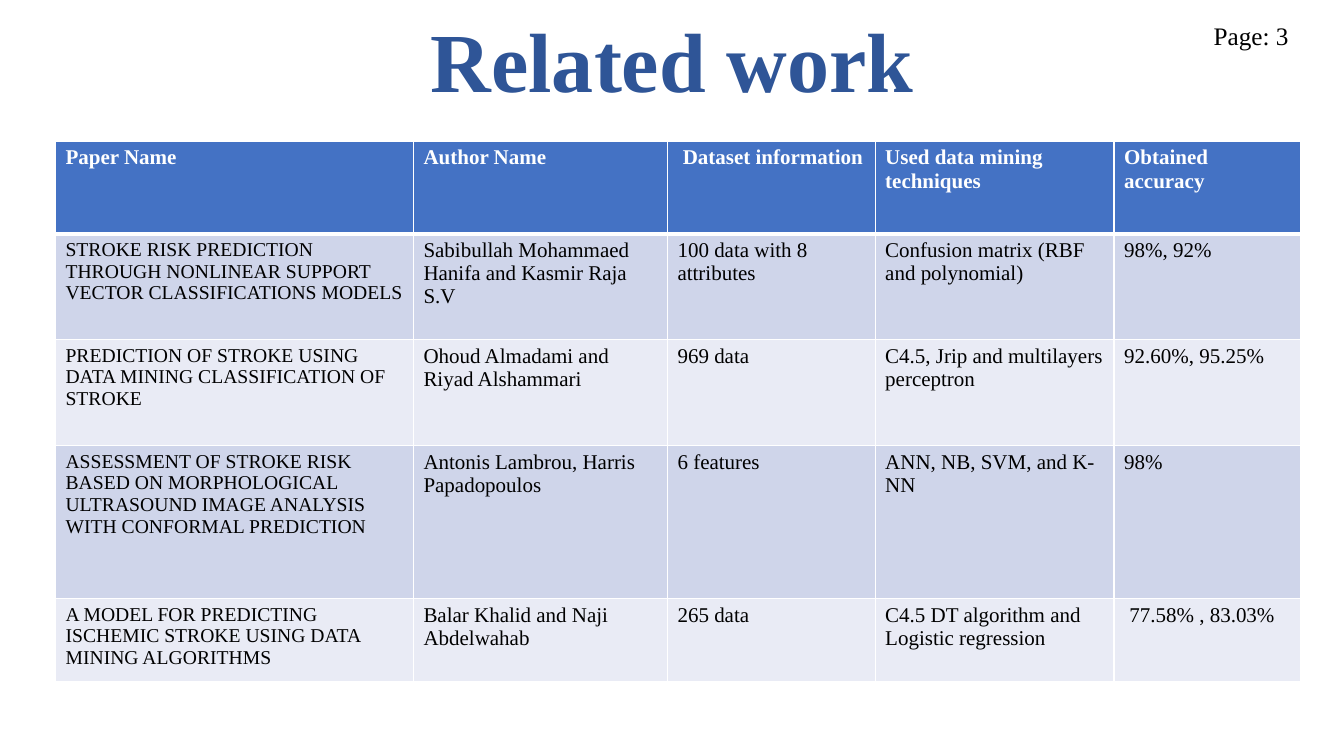
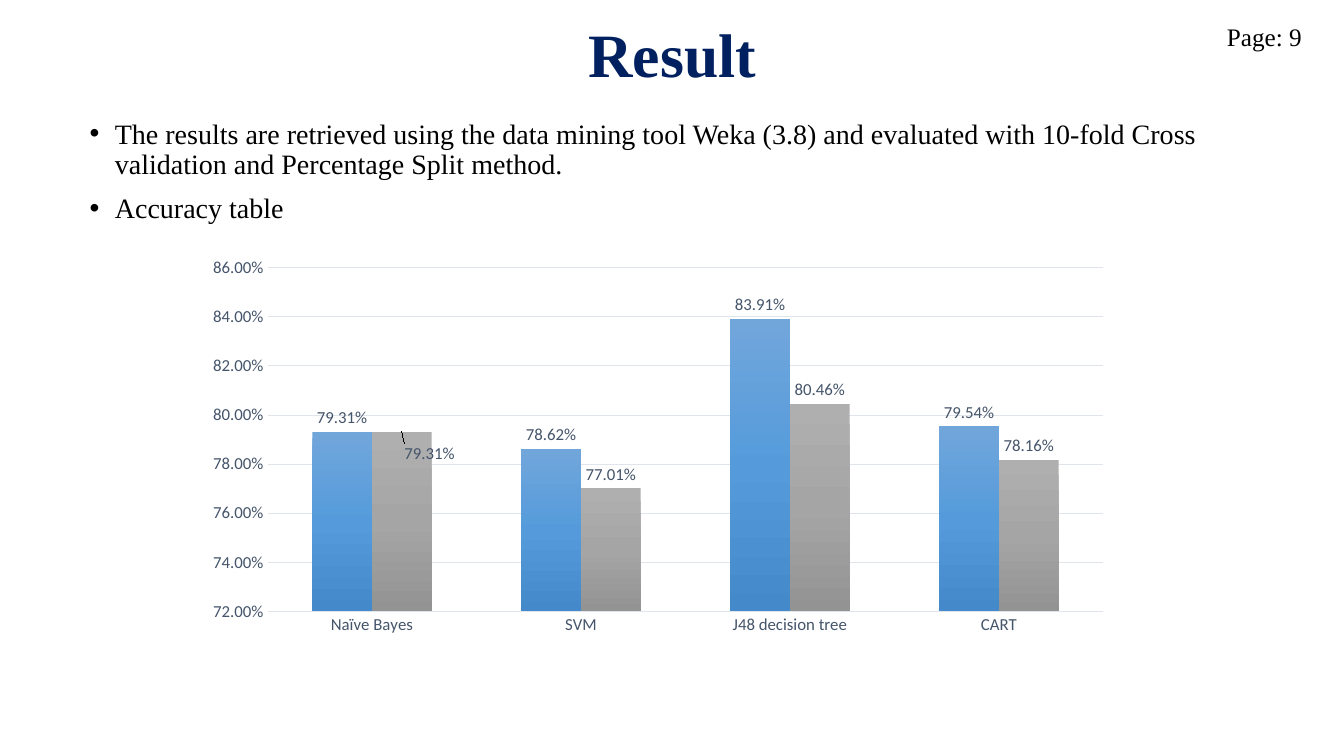
import pptx
import pptx.chart.data
import pptx.dml.color
import pptx.enum.chart
import pptx.enum.text
import pptx.oxml
import pptx.oxml.ns
import pptx.util

WIDE, HIGH = pptx.util.Inches(13.33), pptx.util.Inches(7.5)
SERIF, SANS = "Times New Roman", "Calibri"
INK = {
    "black": "000000", "white": "FFFFFF", "title": "2F5597", "navy": "002060",
    "head": "4472C4", "odd": "CFD5EA", "even": "E9EBF5",
    "label": "44546A", "rule": "E0E5EB",
}
BLUES = ["71A6DB", "559BDB", "448ACA"]
GREYS = ["AFAFAF", "A5A5A5", "939393"]
COLS = [3.55, 2.52, 2.06, 2.37, 1.85]
ROWS = [0.92, 1.05, 1.05, 1.52, 0.82]
PAPERS = [
    ["Paper Name", "Author Name", " Dataset information",
     "Used data mining techniques", "Obtained accuracy"],
    ["STROKE RISK PREDICTION THROUGH NONLINEAR SUPPORT VECTOR CLASSIFICATIONS MODELS",
     "Sabibullah Mohammaed Hanifa and Kasmir Raja S.V", "100 data with 8 attributes",
     "Confusion matrix (RBF and polynomial)", "98%, 92%"],
    ["PREDICTION OF STROKE USING DATA MINING CLASSIFICATION OF STROKE",
     "Ohoud Almadami and Riyad Alshammari", "969 data",
     "C4.5, Jrip and multilayers perceptron", "92.60%, 95.25%"],
    ["ASSESSMENT OF STROKE RISK BASED ON MORPHOLOGICAL ULTRASOUND IMAGE ANALYSIS "
     "WITH CONFORMAL PREDICTION",
     "Antonis Lambrou, Harris Papadopoulos", "6 features",
     "ANN, NB, SVM, and K-NN", "98%"],
    ["A MODEL FOR PREDICTING ISCHEMIC STROKE USING DATA MINING ALGORITHMS",
     "Balar Khalid and Naji Abdelwahab", "265 data",
     "C4.5 DT algorithm and Logistic regression", " 77.58% , 83.03%"],
]
POINTS = [
    "The results are retrieved using the data mining tool Weka (3.8) and evaluated "
    "with 10-fold Cross validation and Percentage Split method.",
    "Accuracy table",
]
MODELS = ["Naïve Bayes", "SVM", "J48 decision tree", "CART"]
SCORES = [
    ("Series 1", [0.7931, 0.7862, 0.8391, 0.7954], BLUES),
    ("Series 2", [0.7931, 0.7701, 0.8046, 0.7816], GREYS),
]


def area(x, y, w, h):
    """Turn percentages of the slide's size into lengths."""
    return [round(part * side / 100) for part, side in zip((x, y, w, h), (WIDE, HIGH) * 2)]


def hue(name):
    """Look up a colour by name."""
    return pptx.dml.color.RGBColor.from_string(INK[name])


def style(font, size, color, face=SERIF, bold=False):
    """Set the face, size, weight and colour of a font."""
    font.name, font.size, font.bold = face, pptx.util.Pt(size), bold
    font.color.rgb = hue(color)


def node(parent, tag, **attrs):
    """Append an XML child with attributes."""
    child = pptx.oxml.parse_xml(f"<{tag} {pptx.oxml.ns.nsdecls('a', 'c')}/>")
    for key, value in attrs.items():
        child.set(key, str(value))
    parent.append(child)
    return child


def title(slide, box, text, size, color):
    """Place a centred slide title."""
    frame = slide.shapes.add_textbox(*box).text_frame
    frame.word_wrap = True
    frame.vertical_anchor = pptx.enum.text.MSO_ANCHOR.MIDDLE
    frame.text = text
    para = frame.paragraphs[0]
    para.alignment = pptx.enum.text.PP_ALIGN.CENTER
    para.line_spacing = 0.9
    style(para.runs[0].font, size, color, bold=True)


def folio(slide, box, number):
    """Place the page label."""
    frame = slide.shapes.add_textbox(*box).text_frame
    frame.word_wrap = False
    frame.auto_size = pptx.enum.text.MSO_AUTO_SIZE.SHAPE_TO_FIT_TEXT
    frame.text = f"Page: {number}"
    style(frame.paragraphs[0].runs[0].font, 18, "black")


def edges(cell, row):
    """Draw white cell borders, thicker under the header."""
    props = cell._tc.get_or_add_tcPr()
    thick = {0: "B", 1: "T"}.get(row)
    for side in "LRTB":
        points = 3 if side == thick else 1
        line = node(props, f"a:ln{side}", w=pptx.util.Pt(points))
        node(node(line, "a:solidFill"), "a:srgbClr", val=INK["white"])


def papers(slide, box):
    """Fill the box with the table of papers."""
    table = slide.shapes.add_table(len(ROWS), len(COLS), *box).table
    for col, share in zip(table.columns, COLS):
        col.width = round(box[2] * share / sum(COLS))
    for row, share in zip(table.rows, ROWS):
        row.height = round(box[3] * share / sum(ROWS))
    for r, texts in enumerate(PAPERS):
        fill = "head" if r == 0 else "odd" if r % 2 else "even"
        for c, text in enumerate(texts):
            cell = table.cell(r, c)
            edges(cell, r)
            cell.fill.solid()
            cell.fill.fore_color.rgb = hue(fill)
            cell.text_frame.text = text
            font = cell.text_frame.paragraphs[0].runs[0].font
            style(font, 14 if r and c == 0 else 15,
                  "black" if r else "white", bold=r == 0)


def bullets(slide, box, items):
    """Fill the box with a bulleted list."""
    frame = slide.shapes.add_textbox(*box).text_frame
    frame.word_wrap = True
    for i, item in enumerate(items):
        para = frame.add_paragraph() if i else frame.paragraphs[0]
        para.text = item
        para.line_spacing = 0.9
        if i:
            para.space_before = pptx.util.Pt(10)
        props = para._p.get_or_add_pPr()
        indent = pptx.util.Inches(0.25)
        props.set("marL", str(indent))
        props.set("indent", str(-indent))
        node(props, "a:buFont", typeface="Arial")
        node(props, "a:buChar", char="•")
        style(para.runs[0].font, 20, "black")


def shade(fill, colors):
    """Fill with an even gradient from top to bottom."""
    fill.gradient()
    fill.gradient_angle = 270
    stops = fill._xPr.find(".//" + pptx.oxml.ns.qn("a:gsLst"))
    for stop in list(stops):
        stops.remove(stop)
    for i, color in enumerate(colors):
        stop = node(stops, "a:gs", pos=round(100000 * i / (len(colors) - 1)))
        node(stop, "a:srgbClr", val=color)


def nudge(series, index, x, y):
    """Shift one data label by shares of the chart's size."""
    label = series.points[index].data_label
    style(label.font, 12, "label", SANS)
    label.position = pptx.enum.chart.XL_LABEL_POSITION.OUTSIDE_END
    item = series._element.find(".//" + pptx.oxml.ns.qn("c:dLbl"))
    layout = node(item, "c:layout")
    item.insert(1, layout)
    manual = node(layout, "c:manualLayout")
    node(manual, "c:x", val=x)
    node(manual, "c:y", val=y)


def scores(slide, box):
    """Fill the box with the accuracy chart."""
    data = pptx.chart.data.CategoryChartData(number_format="0.00%")
    data.categories = MODELS
    for name, values, _ in SCORES:
        data.add_series(name, values)
    kind = pptx.enum.chart.XL_CHART_TYPE.COLUMN_CLUSTERED
    chart = slide.shapes.add_chart(kind, *box, data).chart
    chart.has_legend = chart.has_title = False
    style(chart.font, 10, "black", SANS)
    plot = chart.plots[0]
    plot.gap_width, plot.overlap, plot.vary_by_categories = 150, 0, False
    cats, vals = chart.category_axis, chart.value_axis
    for axis in (cats, vals):
        axis.major_tick_mark = axis.minor_tick_mark = pptx.enum.chart.XL_TICK_MARK.NONE
        style(axis.tick_labels.font, 12, "label", SANS)
    vals.minimum_scale, vals.maximum_scale, vals.major_unit = 0.72, 0.86, 0.02
    vals.tick_labels.number_format = "0.00%"
    vals.tick_labels.number_format_is_linked = False
    vals.format.line.fill.background()
    for rule in (cats.format.line, vals.major_gridlines.format.line):
        rule.color.rgb = hue("rule")
        rule.width = pptx.util.Pt(0.75)
    for series, (_, _, colors) in zip(plot.series, SCORES):
        shade(series.format.fill, colors)
        series.invert_if_negative = False
        labels = series.data_labels
        labels.show_value = True
        labels.number_format, labels.number_format_is_linked = "0.00%", False
        labels.position = pptx.enum.chart.XL_LABEL_POSITION.OUTSIDE_END
        style(labels.font, 12, "label", SANS)
    nudge(plot.series[1], 0, 0.03, 0.09)


def related(slide):
    """Build the slide of related work."""
    title(slide, area(6.9, 2, 86.25, 13.33), "Related work", 60, "title")
    papers(slide, area(4.13, 18.67, 92.65, 71.47))
    folio(slide, area(89.57, 2, 7.13, 5.33), 3)


def result(slide):
    """Build the slide of results."""
    title(slide, area(6.9, 0, 86.25, 15.2), "Result", 44, "navy")
    bullets(slide, area(5.93, 15.2, 86.25, 63.47), POINTS)
    folio(slide, area(90.55, 2.13, 7.13, 5.33), 9)
    scores(slide, area(14.48, 33.07, 69, 52))


def main():
    """Build and save the deck."""
    deck = pptx.Presentation()
    deck.slide_width, deck.slide_height = WIDE, HIGH
    for build in (related, result):
        build(deck.slides.add_slide(deck.slide_layouts[6]))
    deck.save("out.pptx")


if __name__ == "__main__":
    main()
